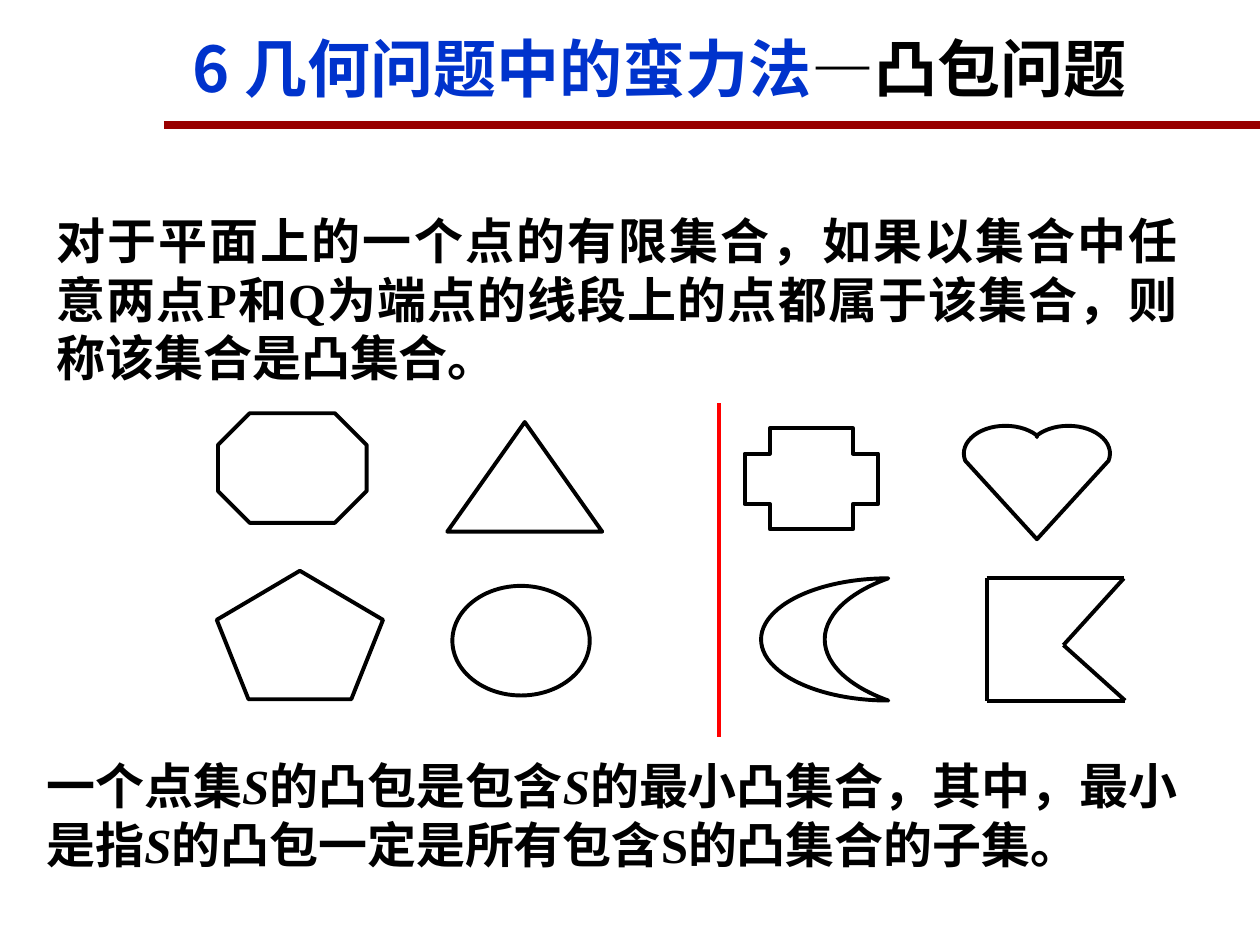
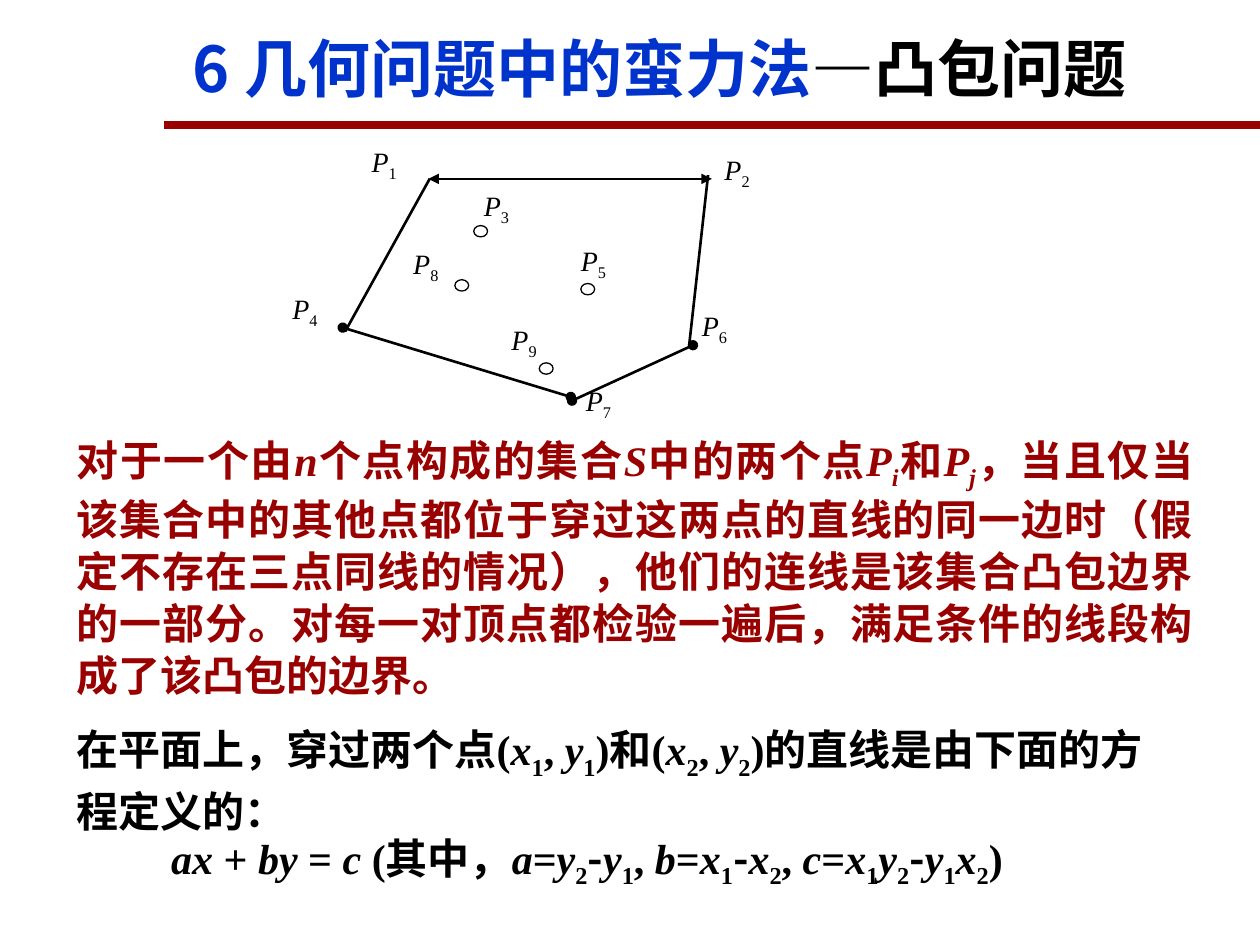
from dataclasses import dataclass
from math import cos, radians, sin

from lxml.etree import SubElement
from pptx import Presentation
from pptx.dml.color import RGBColor
from pptx.enum.shapes import MSO_CONNECTOR, MSO_SHAPE
from pptx.enum.text import MSO_ANCHOR, MSO_AUTO_SIZE, PP_ALIGN
from pptx.oxml.ns import qn
from pptx.util import Emu, Inches, Pt


@dataclass(frozen=True)
class Theme:
    ink: str = "000000"
    blue: str = "0033CC"
    dark_red: str = "990000"
    red: str = "FF0000"
    cjk: str = "Noto Sans CJK SC"
    serif: str = "Times New Roman"
    sans: str = "Arial"
    title: int = 36
    lead: int = 28
    body: int = 24
    label: int = 16
    band: float = 4.5
    outline: float = 2.25
    edge: float = 1.5
    dot: float = 0.75
    columns: int = 100
    rows: int = 75


THEME = Theme()


def add_text(p, text, size=THEME.body, color=THEME.ink, font=THEME.serif, bold=True):
    """Toggle marks: * italic, _ subscript, | East Asian face for Latin characters."""
    on = dict.fromkeys("*_|", False)
    piece = ""
    for char in text + "\n":
        if char not in on and char != "\n":
            piece += char
            continue
        if piece:
            r = p.add_run()
            r.text = piece
            r.font.size = Pt(size)
            r.font.bold = bold
            r.font.italic = on["*"]
            r.font.color.rgb = RGBColor.from_string(color)
            r.font.name = THEME.cjk if on["|"] else font
            rPr = r.font.latin_parent if hasattr(r.font, "latin_parent") else r._r.get_or_add_rPr()
            SubElement(rPr, qn("a:ea"), typeface=THEME.cjk)
            if on["_"]:
                rPr.set("baseline", "-25000")
            piece = ""
        if char in on:
            on[char] = not on[char]


class Deck:
    def __init__(self, theme):
        self.theme = theme
        self.prs = Presentation()
        self.prs.slide_width, self.prs.slide_height = Inches(10), Inches(7.5)
        self.layout = self.prs.slide_layouts.get_by_name("Title Only")
        self.s = None

    def x(self, columns):
        return Emu(round(self.prs.slide_width * columns / self.theme.columns))

    def y(self, rows):
        return Emu(round(self.prs.slide_height * rows / self.theme.rows))

    def box(self, left, top, width, height):
        return self.x(left), self.y(top), self.x(width), self.y(height)

    def slide(self, topic, subject):
        t = self.theme
        first = self.s is None
        self.s = self.prs.slides.add_slide(self.layout)
        if first:
            band = self.line((13, 9.9), (100, 9.9), t.dark_red, t.band)
            self.layout.shapes.element.append(band.element)
        sp = self.s.shapes.title
        sp.left, sp.top, sp.width, sp.height = self.box(15.3, 2.2, 82.7, 6)
        p = self.frame(sp, (0, 0)).paragraphs[0]
        p.alignment = PP_ALIGN.LEFT
        p.line_spacing = Pt(44)
        add_text(p, topic, size=t.title, color=t.blue, font=t.cjk)
        add_text(p, subject, size=t.title, font=t.sans)

    def frame(self, sp, insets):
        tf = sp.text_frame
        tf.word_wrap = True
        tf.auto_size = MSO_AUTO_SIZE.NONE
        tf.vertical_anchor = MSO_ANCHOR.TOP
        tf.margin_left = tf.margin_right = self.x(insets[0])
        tf.margin_top = tf.margin_bottom = self.y(insets[1])
        return tf

    def text(self, at, *lines, align=PP_ALIGN.LEFT, spacing=None, indents=(0,),
             insets=(1, 0.5), **style):
        tf = self.frame(self.s.shapes.add_textbox(*self.box(*at)), insets)
        for i, line in enumerate(lines):
            p = tf.paragraphs[0] if i == 0 else tf.add_paragraph()
            p.alignment = align
            if spacing:
                p.line_spacing = spacing
            if indents[i:] and indents[i]:
                p._p.get_or_add_pPr().set("indent", str(self.x(indents[i])))
            add_text(p, line, **style)

    def outline(self, sp, width):
        sp.shadow.inherit = False
        sp.fill.background()
        sp.line.color.rgb = RGBColor.from_string(self.theme.ink)
        sp.line.width = Pt(width)

    def shape(self, kind, at, width=THEME.outline, adjust=None):
        sp = self.s.shapes.add_shape(kind, *self.box(*at))
        if adjust is not None:
            sp.adjustments[0] = adjust
        self.outline(sp, width)

    def polygon(self, points):
        points = [(self.x(x), self.y(y)) for x, y in points]
        builder = self.s.shapes.build_freeform(*points[0])
        builder.add_line_segments(points[1:], close=True)
        self.outline(builder.convert_to_shape(), self.theme.outline)

    def line(self, start, end, color=THEME.ink, width=THEME.edge, ends=None):
        c = self.s.shapes.add_connector(
            MSO_CONNECTOR.STRAIGHT, self.x(start[0]), self.y(start[1]),
            self.x(end[0]), self.y(end[1]))
        c.line.color.rgb = RGBColor.from_string(color)
        c.line.width = Pt(width)
        if ends:
            ln = c.line._get_or_add_ln()
            for tag in ("a:headEnd", "a:tailEnd"):
                SubElement(ln, qn(tag), type=ends)
        SubElement(c.element.spPr, qn("a:effectLst"))
        return c


def heart_points():
    middle, lobe_x, lobe_y, rx, ry = 82.3, 79.8, 36, 3.3, 2.2
    left = [(lobe_x + rx * cos(radians(a)), lobe_y - ry * sin(radians(a)))
            for a in range(195, 40, -7)]
    right = [(2 * middle - x, y) for x, y in reversed(left)]
    return [(middle, 42.8), *left, (middle, 34.7), *right]


def convex_sets(deck):
    t = deck.theme
    deck.text((3.5, 16.2, 91, 15),
              "对于平面上的一个点的有限集合，如果以集合中任意两点P和Q为端点的线段上的点都属于该集合，则称该集合是凸集合。",
              align=PP_ALIGN.JUSTIFY, spacing=Pt(33.6), size=t.lead)
    deck.line((57.1, 32), (57.1, 58.5), t.red, t.outline)
    for kind, at, adjust in (
        (MSO_SHAPE.OCTAGON, (17.3, 32.8, 11.8, 8.7), 0.29),
        (MSO_SHAPE.ISOSCELES_TRIANGLE, (35.5, 33.5, 12.3, 8.7), 0.5),
        (MSO_SHAPE.REGULAR_PENTAGON, (17.2, 45.3, 13.2, 10.2), None),
        (MSO_SHAPE.OVAL, (35.9, 46.5, 10.9, 8.7), None),
        (MSO_SHAPE.CROSS, (59.1, 34, 10.6, 8), 0.25),
        (MSO_SHAPE.MOON, (60.4, 45.9, 10.1, 9.7), 0.5),
    ):
        deck.shape(kind, at, adjust=adjust)
    deck.polygon(heart_points())
    notched = [(78.3, 45.9), (89.2, 45.9), (84.4, 51.2), (89.3, 55.6), (78.3, 55.6)]
    for start, end in zip(notched, notched[1:] + notched[:1]):
        deck.line(start, end, width=t.outline)
    deck.text((2.7, 59.5, 93, 10.4),
              "一个点集*S*的凸包是包含*S*的最小凸集合，其中，最小是指*S*的凸包一定是所有包含S的凸集合的子集。",
              spacing=Pt(33.6), size=t.lead)


def hull_edges(deck):
    t = deck.theme
    for start, end, ends in (
        ((34, 14.2), (56.5, 14.2), "triangle"),
        ((34.1, 14.2), (27.4, 26.3), None),
        ((27.2, 26), (45.3, 31.5), "oval"),
        ((45.4, 31.8), (55, 27.4), "oval"),
        ((56.2, 13.9), (54.7, 27.4), None),
    ):
        deck.line(start, end, ends=ends)
    for left, top in ((37.6, 17.9), (36.1, 22.2), (46.1, 22.5), (42.8, 28.8)):
        deck.shape(MSO_SHAPE.OVAL, (left, top, 1.1, 0.9), t.dot)
    labels = ((29.5, 11.5), (57.5, 12.1), (38.4, 15), (23.2, 23.1), (46.1, 19.3),
              (55.7, 24.5), (46.5, 30.7), (32.8, 19.6), (40.6, 25.6))
    for number, (left, top) in enumerate(labels, 1):
        deck.text((left, top, 3, 2.9), f"*P*_{number}_", insets=(0, 0),
                  spacing=0.8 if number == 7 else None, size=t.label, bold=False)
    deck.text((5.1, 34.4, 90.6, 21.6),
              "对于一个由*n*个点构成的集合*S*中的两个点*P_i_*和*P_j_*，"
              "当且仅当该集合中的其他点都位于穿过这两点的直线的同一边时"
              "（假定不存在三点同线的情况），他们的连线是该集合凸包边界的一部分。"
              "对每一对顶点都检验一遍后，满足条件的线段构成了该凸包的边界。",
              align=PP_ALIGN.JUSTIFY, spacing=Pt(29.8), color=t.dark_red)
    deck.text((5.1, 57.2, 89.8, 14.1),
              "在平面上，穿过两个点(*x*_1_, *y*_1_)和(*x*_2_, *y*_2_)的直线是由下面的方程定义的：",
              "*ax* + *by* = *c* (其中，*a*=*y*_2_|-|*y*_1_, *b*=*x*_1_|-|*x*_2_, "
              "*c*=*x*_1_*y*_2_|-|*y*_1_*x*_2_)",
              spacing=Pt(31), indents=(0, 7.5))


def main():
    deck = Deck(THEME)
    for content in (convex_sets, hull_edges):
        deck.slide("6 几何问题中的蛮力法", "—凸包问题")
        content(deck)
    deck.prs.save("out.pptx")


if __name__ == "__main__":
    main()
